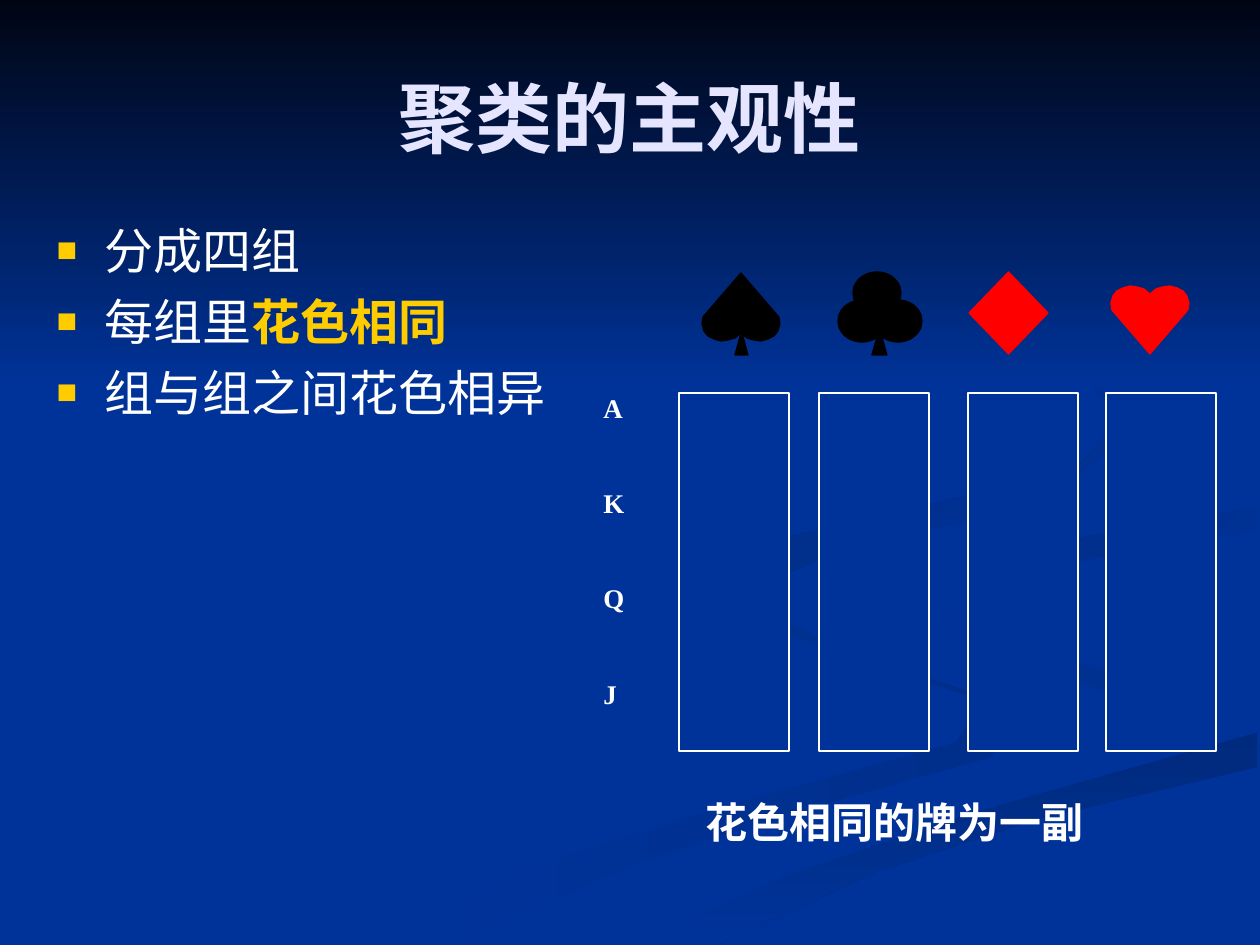
import lxml.etree
import pptx
import pptx.dml.color
import pptx.enum.shapes
import pptx.enum.text
import pptx.oxml.ns
import pptx.util

SHAPE = pptx.enum.shapes.MSO_SHAPE
ALIGN = pptx.enum.text.PP_ALIGN
ANCHOR = pptx.enum.text.MSO_ANCHOR
NAVY, WHITE, GOLD, LAVENDER = "003399", "FFFFFF", "FFCC00", "E5E5FF"
BLACK, RED = "000000", "FF0000"
SERIF, SANS = "Times New Roman", "Arial"

# Each wave: first colour, last colour, clockwise angle, outline in px
WAVES = [
    (NAVY, "002E8B", 0, [
        (984, 697), (833, 646), (725, 587), (759, 624), (984, 701),
        (956, 743), (730, 805), (525, 869), (378, 944), (455, 944),
        (629, 866), (785, 815), (990, 757), (1008, 732)]),
    (NAVY, "002E8B", 45, [
        (1188, 718), (1119, 674), (975, 634), (912, 585), (951, 636),
        (1109, 692), (1155, 726), (1126, 762)]),
    ("002A7D", NAVY, 90, [
        (634, 944), (719, 944), (876, 872), (1034, 820), (1257, 767),
        (1257, 732), (963, 815), (794, 873)]),
    (NAVY, NAVY, 0, [
        (914, 585), (999, 641), (1140, 680), (1188, 718), (1110, 766),
        (835, 842), (601, 944), (634, 944), (794, 873), (964, 815),
        (1259, 732), (1259, 678), (1029, 620), (984, 583), (1036, 547),
        (1259, 507), (1259, 488), (993, 532)]),
    ("002D86", NAVY, 45, [
        (984, 580), (1041, 625), (1014, 600), (1062, 564), (1257, 529),
        (1257, 507), (1034, 546)]),
    ("002B82", NAVY, 45, [
        (861, 542), (1040, 507), (1126, 433), (1089, 367), (960, 294),
        (1066, 352), (1119, 420), (1074, 471), (788, 537), (727, 582),
        (784, 630), (748, 590)]),
]
HEART_WIDTH, HEART_HEIGHT = 78, 68
HEART_LEFT_HALF = [(39, 8), (33, 3), (26, 1), (19, 0), (12, 2), (6, 5), (2, 10),
                   (0, 17), (1, 24), (39, 68)]


def px(length):
    return pptx.util.Emu(round(length * 914400 / 126))


def rgb(value):
    return pptx.dml.color.RGBColor.from_string(value)


def heart_outline(left, top, flipped=False):
    half = HEART_LEFT_HALF
    mirrored = [(HEART_WIDTH - x, y) for x, y in half[-2:0:-1]]
    return [(left + x, top + (HEART_HEIGHT - y if flipped else y))
            for x, y in half + mirrored]


class SlideBuilder:
    def __init__(self, page):
        self.page = page

    def background(self, color):
        fill = self.page.background.fill
        fill.solid()
        fill.fore_color.rgb = rgb(color)

    def paint(self, shape, color, line=None):
        shape.shadow.inherit = False
        shape.fill.solid()
        shape.fill.fore_color.rgb = rgb(color)
        if line:
            shape.line.color.rgb = rgb(line)
            shape.line.width = pptx.util.Pt(0.75)
        else:
            shape.line.fill.background()

    def shade(self, shape, first, last, angle):
        """Fill with a linear gradient; the angle runs clockwise."""
        self.paint(shape, first)
        if first == last:
            return
        shape.fill.gradient()
        shape.fill.gradient_angle = (360 - angle) % 360
        for stop, color in zip(shape.fill.gradient_stops, (first, last)):
            stop.color.rgb = rgb(color)

    def outline(self, points):
        start, *rest = [(px(x), px(y)) for x, y in points]
        builder = self.page.shapes.build_freeform(*start, scale=1.0)
        builder.add_line_segments(rest, close=True)
        return builder.convert_to_shape()

    def preset(self, kind, left, top, width, height):
        return self.page.shapes.add_shape(
            kind, px(left), px(top), px(width), px(height))

    def style(self, para, size, color, bold=False, font=SERIF):
        para.font.name = font
        para.font.size = pptx.util.Pt(size)
        para.font.bold = bold
        para.font.color.rgb = rgb(color)

    def placeholder(self, index, left, top, width, height, anchor):
        """Place a template placeholder in front of the backdrop."""
        holder = self.page.placeholders[index]
        holder.left, holder.top = px(left), px(top)
        holder.width, holder.height = px(width), px(height)
        frame = holder.text_frame
        frame.auto_size = pptx.enum.text.MSO_AUTO_SIZE.NONE
        frame.vertical_anchor = anchor
        holder.element.getparent().append(holder.element)
        return frame

    def title(self, text):
        frame = self.placeholder(0, 63, 38, 1134, 158, ANCHOR.MIDDLE)
        para = frame.paragraphs[0]
        para.text = text
        para.alignment = ALIGN.CENTER
        self.style(para, 44, LAVENDER, bold=True)

    def bullet(self, para):
        props = para._p.get_or_add_pPr()
        props.set("marL", str(px(48)))
        props.set("indent", str(px(-48)))
        tag = pptx.oxml.ns.qn
        color = lxml.etree.SubElement(props, tag("a:buClr"))
        lxml.etree.SubElement(color, tag("a:srgbClr"), val=GOLD)
        lxml.etree.SubElement(props, tag("a:buSzPct"), val="70000")
        lxml.etree.SubElement(props, tag("a:buFont"), typeface=SANS)
        lxml.etree.SubElement(props, tag("a:buChar"), char="■")

    def bullets(self, items):
        """Each item is a pair: plain text and highlighted text."""
        frame = self.placeholder(1, 44, 214, 606, 624, ANCHOR.TOP)
        for number, (plain, highlight) in enumerate(items):
            para = frame.add_paragraph() if number else frame.paragraphs[0]
            self.bullet(para)
            para.space_before = pptx.util.Pt(7 if number else 0)
            self.style(para, 28, WHITE)
            para.add_run().text = plain
            if highlight:
                span = para.add_run()
                span.text = highlight
                span.font.bold = True
                span.font.color.rgb = rgb(GOLD)

    def label(self, text, left, top, width, height, size, font=SERIF,
              align=ALIGN.LEFT, spacing=1.0):
        box = self.page.shapes.add_textbox(
            px(left), px(top), px(width), px(height))
        box.text_frame.word_wrap = True
        para = box.text_frame.paragraphs[0]
        para.text = text
        para.alignment = align
        para.line_spacing = spacing
        self.style(para, size, WHITE, bold=True, font=font)


def main():
    deck = pptx.Presentation()
    deck.slide_width, deck.slide_height = px(1260), px(945)
    slide = SlideBuilder(deck.slides.add_slide(deck.slide_layouts[1]))

    slide.background(NAVY)
    for first, last, angle, points in WAVES:
        slide.shade(slide.outline(points), first, last, angle)
    sky = slide.preset(SHAPE.RECTANGLE, 0, 0, 1260, 388)
    slide.shade(sky, "000514", NAVY, 90)

    slide.title("聚类的主观性")
    slide.bullets([("分成四组", ""), ("每组里", "花色相同"),
                   ("组与组之间花色相异", "")])

    slide.paint(slide.outline(heart_outline(1111, 286)), RED, RED)
    slide.paint(slide.outline(heart_outline(702, 273, flipped=True)), BLACK, BLACK)
    for kind, color, *place in [
            (SHAPE.FLOWCHART_EXTRACT, BLACK, 735, 331, 13, 24),
            (SHAPE.OVAL, BLACK, 853, 272, 48, 42),
            (SHAPE.OVAL, BLACK, 874, 300, 48, 42),
            (SHAPE.OVAL, BLACK, 838, 300, 48, 42),
            (SHAPE.FLOWCHART_EXTRACT, BLACK, 872, 328, 15, 27),
            (SHAPE.FLOWCHART_DECISION, RED, 969, 272, 79, 82)]:
        slide.paint(slide.preset(kind, *place), color, color)

    for row, rank in enumerate("AKQJ"):
        slide.label(rank, 591, 354 + row * 286 // 3, 95, 68, 15.4, spacing=1.96)
    for left in (679, 819, 968, 1106):
        column = slide.preset(SHAPE.RECTANGLE, left, 393, 110, 358)
        slide.paint(column, NAVY, WHITE)
    slide.label("花色相同的牌为一副", 530, 790, 730, 63, 24, SANS, ALIGN.CENTER)

    deck.save("out.pptx")


if __name__ == "__main__":
    main()
